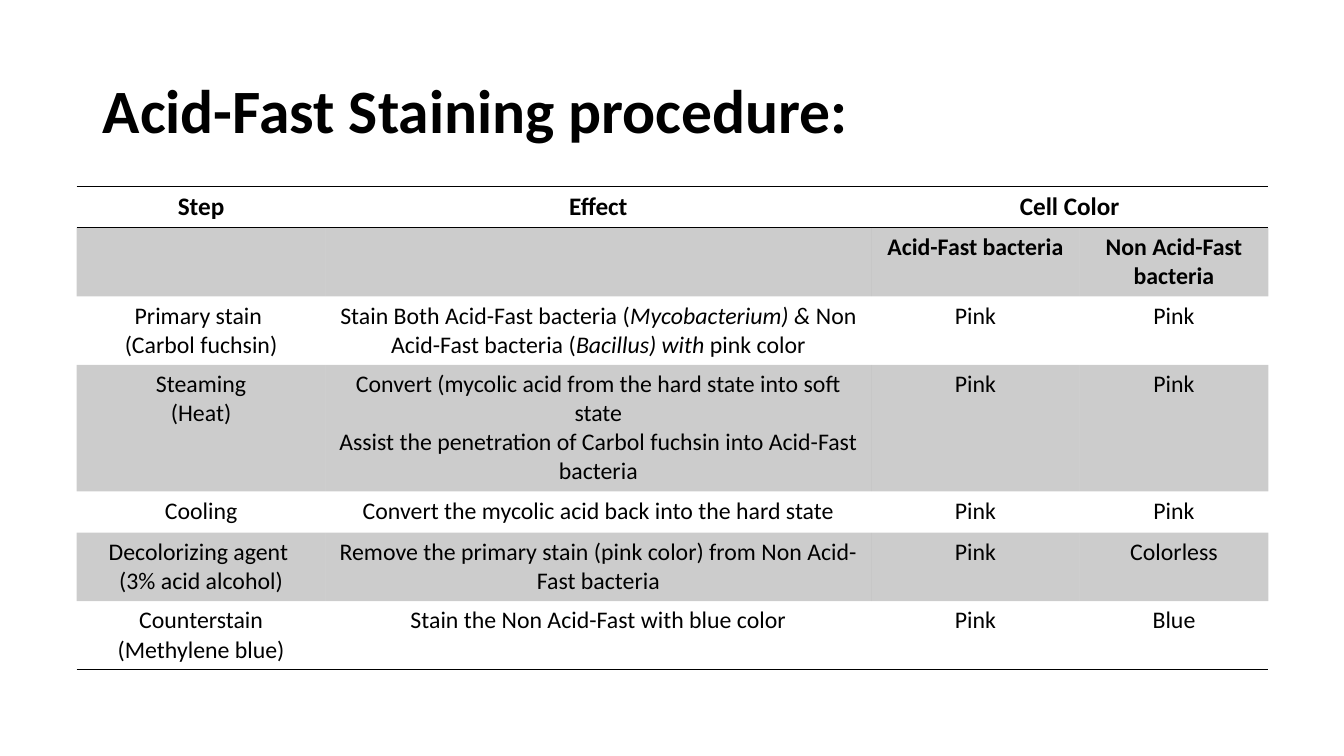
from dataclasses import dataclass

from lxml import etree
from pptx import Presentation
from pptx.dml.color import RGBColor
from pptx.enum.text import MSO_ANCHOR, MSO_AUTO_SIZE, PP_ALIGN
from pptx.oxml.ns import qn
from pptx.util import Inches, Pt

LEFT, CENTER = PP_ALIGN.LEFT, PP_ALIGN.CENTER
MIDDLE = MSO_ANCHOR.MIDDLE
NO_AUTOFIT = MSO_AUTO_SIZE.NONE
TITLE_ONLY = 5
PLAIN_TABLE_STYLE = "{2D5ABB26-0587-4C30-8999-92F81FD0307C}"


@dataclass(frozen=True)
class Theme:
    font: str = "Calibri"
    ink: str = "000000"
    band_opacity: int = 20
    title_size: int = 44
    header_size: int = 18
    body_size: int = 17
    rule_width: int = 1


THEME = Theme()
INK = RGBColor.from_string(THEME.ink)

COLUMN_WIDTHS = [2.47, 5.41, 2.07, 1.87]
ROW_HEIGHTS = [0.41, 0.68, 0.68, 1.25, 0.41, 0.68, 0.68]
HEADER_ROWS = 2

# Asterisks enclose italic words; a line break starts a new paragraph
PROCEDURE = [
    ["Step", "Effect", "Cell Color", ""],
    ["", "", "Acid-Fast bacteria", "Non Acid-Fast bacteria"],
    ["Primary stain \n(Carbol fuchsin)",
     "Stain Both Acid-Fast bacteria (*Mycobacterium) & *Non Acid-Fast "
     "bacteria (*Bacillus) with *pink color", "Pink", "Pink"],
    ["Steaming\n(Heat)",
     "Convert (mycolic acid from the hard state into soft state\n"
     "Assist the penetration of Carbol fuchsin into Acid-Fast bacteria",
     "Pink", "Pink"],
    ["Cooling", "Convert the mycolic acid back into the hard state",
     "Pink", "Pink"],
    ["Decolorizing agent \n(3% acid alcohol)",
     "Remove the primary stain (pink color) from Non Acid-Fast bacteria",
     "Pink", "Colorless"],
    ["Counterstain (Methylene blue)",
     "Stain the Non Acid-Fast with blue color", "Pink", "Blue"],
]


def style_font(font, size, bold):
    font.name = THEME.font
    font.size = Pt(size)
    font.bold = bold
    font.color.rgb = INK


def add_rule(cell, side):
    line = etree.SubElement(cell._tc.get_or_add_tcPr(), qn(f"a:ln{side}"),
                            w=str(Pt(THEME.rule_width)))
    fill = etree.SubElement(line, qn("a:solidFill"))
    etree.SubElement(fill, qn("a:srgbClr"), val=THEME.ink)


def shade(cell):
    cell.fill.solid()
    cell.fill.fore_color.rgb = INK
    color = cell._tc.tcPr.find(f"{qn('a:solidFill')}/{qn('a:srgbClr')}")
    etree.SubElement(color, qn("a:alpha"), val=str(THEME.band_opacity * 1000))


def write_cell(cell, wording, size, bold):
    frame = cell.text_frame
    for number, line in enumerate(wording.split("\n")):
        paragraph = frame.add_paragraph() if number else frame.paragraphs[0]
        paragraph.alignment = CENTER
        style_font(paragraph.font, size, bold)
        for position, words in enumerate(line.split("*")):
            if words:
                run = paragraph.add_run()
                run.text = words
                style_font(run.font, size, bold)
                run.font.italic = position % 2 == 1


def add_heading(slide, left, top, width, height):
    heading = slide.shapes.title
    heading.left, heading.top = Inches(left), Inches(top)
    heading.width, heading.height = Inches(width), Inches(height)
    frame = heading.text_frame
    frame.text = "Acid-Fast Staining procedure:"
    frame.auto_size = NO_AUTOFIT
    frame.vertical_anchor = MIDDLE
    paragraph = frame.paragraphs[0]
    paragraph.alignment = LEFT
    paragraph.line_spacing = 0.9
    style_font(paragraph.runs[0].font, THEME.title_size, True)


def add_procedure_table(slide, left, top, width, height):
    last_row = len(PROCEDURE) - 1
    table = slide.shapes.add_table(
        len(PROCEDURE), len(COLUMN_WIDTHS),
        Inches(left), Inches(top), Inches(width), Inches(height)).table
    table._tbl.tblPr.find(qn("a:tableStyleId")).text = PLAIN_TABLE_STYLE
    for column, column_width in zip(table.columns, COLUMN_WIDTHS):
        column.width = Inches(column_width)
    for row, row_height in zip(table.rows, ROW_HEIGHTS):
        row.height = Inches(row_height)

    # "Cell Color" heads both bacteria columns
    table.cell(0, 2).merge(table.cell(0, 3))

    for row_index, entries in enumerate(PROCEDURE):
        size = THEME.body_size if row_index else THEME.header_size
        for column_index, wording in enumerate(entries):
            cell = table.cell(row_index, column_index)
            write_cell(cell, wording, size, row_index < HEADER_ROWS)
            # Rules frame the header row and close the table
            if row_index == 0:
                add_rule(cell, "T")
            if row_index in (0, last_row):
                add_rule(cell, "B")
            if row_index % 2:
                shade(cell)


def main():
    presentation = Presentation()
    presentation.slide_width = Inches(13.33)
    presentation.slide_height = Inches(7.5)
    slide = presentation.slides.add_slide(
        presentation.slide_layouts[TITLE_ONLY])
    add_heading(slide, 0.92, 0.4, 11.5, 1.45)
    add_procedure_table(slide, 0.76, 1.85, sum(COLUMN_WIDTHS),
                        sum(ROW_HEIGHTS))
    presentation.save("out.pptx")


if __name__ == "__main__":
    main()
